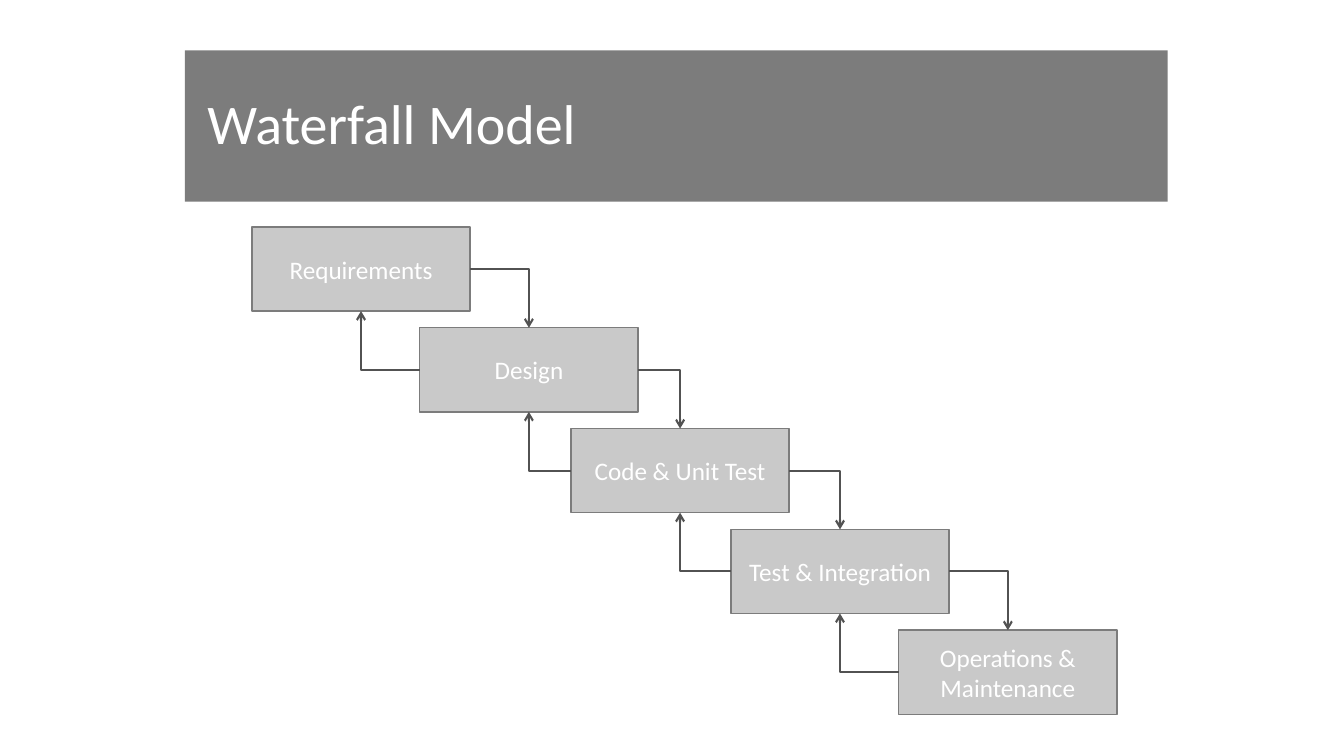
from lxml import etree
from pptx import Presentation
from pptx.dml.color import RGBColor
from pptx.enum.shapes import MSO_CONNECTOR, MSO_SHAPE
from pptx.enum.text import MSO_ANCHOR, PP_ALIGN
from pptx.oxml.ns import qn
from pptx.util import Cm, Pt

RECTANGLE = MSO_SHAPE.RECTANGLE
ELBOW = MSO_CONNECTOR.ELBOW
MIDDLE = MSO_ANCHOR.MIDDLE
LEFT, CENTER = PP_ALIGN.LEFT, PP_ALIGN.CENTER

WHITE = RGBColor(0xFF, 0xFF, 0xFF)
DARK_GRAY = RGBColor(0x7C, 0x7C, 0x7C)
LIGHT_GRAY = RGBColor(0xC9, 0xC9, 0xC9)
ARROW_GRAY = RGBColor(0x52, 0x52, 0x52)

# Connection sites of a rectangle
TOP_SITE, BOTTOM_SITE = 0, 2
LEFT_SITE, RIGHT_SITE = 1, 3

# Phase names with the left edge of each box in centimetres
PHASES = [
    ("Requirements", 6.35),
    ("Design", 10.58),
    ("Code & Unit Test", 14.39),
    ("Test & Integration", 18.42),
    ("Operations & Maintenance", 22.65),
]
FIRST_TOP, STEP_DOWN = 5.72, 2.54
PHASE_WIDTH, PHASE_HEIGHT = 5.5, 2.12


def add_box(slide, text, left, top, width, height, fill, size, alignment):
    shape = slide.shapes.add_shape(RECTANGLE, Cm(left), Cm(top), Cm(width), Cm(height))
    shape.shadow.inherit = False
    shape.fill.solid()
    shape.fill.fore_color.rgb = fill
    text_frame = shape.text_frame
    text_frame.word_wrap = True
    text_frame.vertical_anchor = MIDDLE
    paragraph = text_frame.paragraphs[0]
    paragraph.text = text
    paragraph.alignment = alignment
    paragraph.font.name = "Calibri"
    paragraph.font.size = Pt(size)
    paragraph.font.color.rgb = WHITE
    return shape


def add_title(slide, text):
    shape = add_box(slide, text, 4.66, 1.27, 24.77, 3.81, DARK_GRAY, 40, LEFT)
    shape.line.fill.background()
    shape.text_frame.margin_left = Cm(0.57)
    shape.text_frame.paragraphs[0].line_spacing = 0.9


def add_phase(slide, text, left, top):
    shape = add_box(slide, text, left, top, PHASE_WIDTH, PHASE_HEIGHT,
                    LIGHT_GRAY, 18, CENTER)
    shape.line.color.rgb = DARK_GRAY
    shape.line.width = Pt(1)
    return shape


def add_arrow(slide, start, start_site, end, end_site):
    connector = slide.shapes.add_connector(ELBOW, 0, 0, 0, 0)
    connector.begin_connect(start, start_site)
    connector.end_connect(end, end_site)
    connector.line.color.rgb = ARROW_GRAY
    connector.line.width = Pt(1.5)
    # Single bend, open arrowhead, no shadow
    properties = connector._element.spPr
    properties.find(qn("a:prstGeom")).set("prst", "bentConnector2")
    etree.SubElement(properties.find(qn("a:ln")), qn("a:tailEnd"), type="arrow")
    etree.SubElement(properties, qn("a:effectLst"))


def main():
    presentation = Presentation()
    presentation.slide_width = Cm(33.87)
    presentation.slide_height = Cm(19.05)
    slide = presentation.slides.add_slide(presentation.slide_layouts[6])

    add_title(slide, "Waterfall Model")

    # Staircase of phases
    boxes = [add_phase(slide, name, left, FIRST_TOP + index * STEP_DOWN)
             for index, (name, left) in enumerate(PHASES)]

    # Forward and feedback arrows between neighbours
    for upper, lower in zip(boxes, boxes[1:]):
        add_arrow(slide, upper, RIGHT_SITE, lower, TOP_SITE)
        add_arrow(slide, lower, LEFT_SITE, upper, BOTTOM_SITE)

    presentation.save("out.pptx")


if __name__ == "__main__":
    main()
